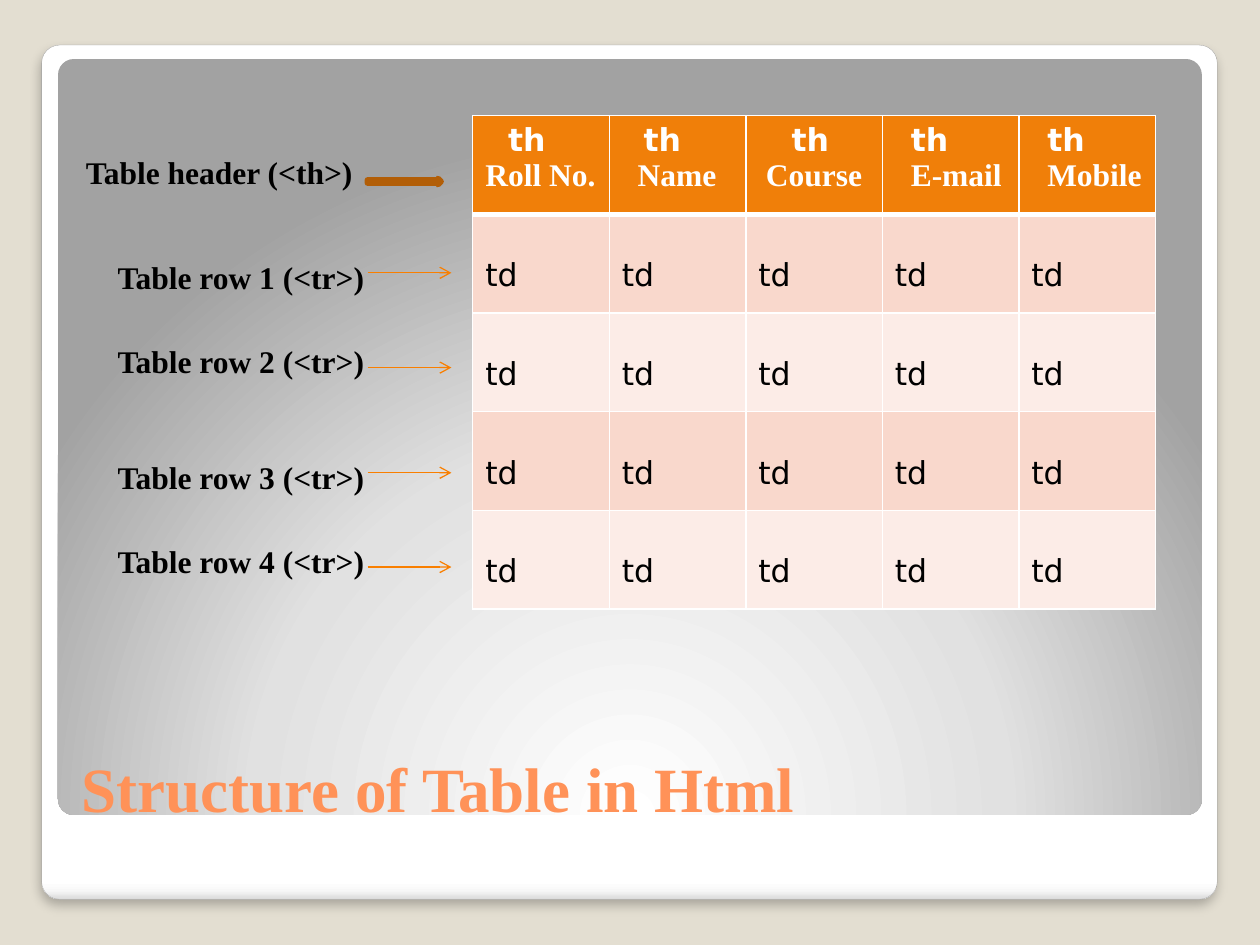
from lxml import etree
from pptx import Presentation
from pptx.dml.color import RGBColor
from pptx.enum.shapes import MSO_CONNECTOR, MSO_SHAPE
from pptx.enum.text import MSO_ANCHOR
from pptx.oxml import parse_xml
from pptx.oxml.ns import nsdecls, qn
from pptx.util import Cm, Pt

ROUNDED, ARROW = MSO_SHAPE.ROUNDED_RECTANGLE, MSO_SHAPE.RIGHT_ARROW
STRAIGHT, BOTTOM = MSO_CONNECTOR.STRAIGHT, MSO_ANCHOR.BOTTOM

BEIGE = RGBColor(0xE3, 0xDE, 0xD1)
EDGE_GREY = RGBColor(0xA4, 0xA4, 0xA4)
WHITE = RGBColor(0xFF, 0xFF, 0xFF)
BLACK = RGBColor(0, 0, 0)
TITLE_ORANGE = RGBColor(0xFF, 0x92, 0x58)
ORANGE = RGBColor(0xF0, 0x7F, 0x09)
LINE_ORANGE = RGBColor(0xF9, 0x7F, 0x00)
BROWN = RGBColor(0xB2, 0x5E, 0x07)
PINK = RGBColor(0xF9, 0xD8, 0xCC)
PALE_PINK = RGBColor(0xFC, 0xEC, 0xE7)
SERIF, SANS = "Times New Roman", "DejaVu Sans"


def style(p, font, size, color, bold):
    for r in p.runs:
        r.font.name, r.font.size, r.font.bold = font, Pt(size), bold
        r.font.color.rgb = color


def add_text(left, top, width, height, text, size, color):
    tf = s.shapes.add_textbox(Cm(left), Cm(top), Cm(width), Cm(height)).text_frame
    tf.word_wrap = True
    tf.text = text
    style(tf.paragraphs[0], SERIF, size, color, True)
    return tf


prs = Presentation()
prs.slide_width, prs.slide_height = Cm(25.4), Cm(19.05)
s = prs.slides.add_slide(prs.slide_layouts[6])
s.background.fill.solid()
s.background.fill.fore_color.rgb = BEIGE

# White frame and grey panel
frame_stops = [(0, "FFFFFF"), (98, "FFFFFF"), (99, "F7F7F7"), (100, "DADADA")]
panel_stops = [(0, "FFFFFF"), (55, "E1E1E1"), (100, "A2A2A2")]
linear = '<a:lin ang="5400000" scaled="0"/>'
radial = ('<a:path path="circle"><a:fillToRect l="50000" t="175000" '
          'r="50000" b="-75000"/></a:path>')
cards = []
for box, stops, direction in [
    ((0.84, 0.91, 23.7, 17.22), frame_stops, linear),
    ((1.17, 1.19, 23.06, 15.24), panel_stops, radial),
]:
    sp = s.shapes.add_shape(ROUNDED, *[Cm(v) for v in box])
    sp.adjustments[0] = 0.021
    sp.shadow.inherit = False
    sp.line.fill.background()
    sp.fill.background()
    gs = "".join(f'<a:gs pos="{pos * 1000}"><a:srgbClr val="{color}"/></a:gs>'
                 for pos, color in stops)
    gradient = parse_xml(f'<a:gradFill {nsdecls("a")} rotWithShape="1">'
                         f'<a:gsLst>{gs}</a:gsLst>{direction}</a:gradFill>')
    spPr = sp._element.spPr
    spPr.replace(spPr.find(qn("a:noFill")), gradient)
    cards.append(sp)

frame = cards[0]
frame.line.color.rgb = EDGE_GREY
frame.line.width = Pt(0.16)
frame._element.spPr.find(qn("a:effectLst")).append(parse_xml(
    f'<a:outerShdw {nsdecls("a")} blurRad="76200" dist="50800" dir="5400000" '
    'algn="tl" rotWithShape="0"><a:srgbClr val="000000"><a:alpha val="25000"/>'
    '</a:srgbClr></a:outerShdw>'))

title = add_text(1.4, 13.84, 22.73, 2.92, "Structure of Table in Html", 36, TITLE_ORANGE)
title.vertical_anchor = BOTTOM

# Table: heading, indent of "th" and indent of the heading
headers = [("Roll No.", 0.46, 0), ("Name", 0.44, 0.32), ("Course", 0.67, 0.15),
           ("E-mail", 0.32, 0.32), ("Mobile", 0.32, 0.32)]
ROWS = 5
table = s.shapes.add_table(ROWS, len(headers), Cm(9.53), Cm(2.33),
                           Cm(13.76), Cm(9.95)).table
for row in table.rows:
    row.height = Cm(1.99)
for i in range(ROWS):
    for j, (heading, *indents) in enumerate(headers):
        cell = table.cell(i, j)
        tcPr = cell._tc.get_or_add_tcPr()
        for side in "LRTB":
            thick = (i, side) in [(0, "B"), (1, "T")]
            tcPr.append(parse_xml(
                f'<a:ln{side} {nsdecls("a")} w="{38100 if thick else 12700}">'
                f'<a:solidFill><a:srgbClr val="{WHITE}"/></a:solidFill></a:ln{side}>'))
        cell.fill.solid()
        if i == 0:
            cell.fill.fore_color.rgb = ORANGE
            cell.text = f"th\n{heading}"
            for p, font, indent in zip(cell.text_frame.paragraphs, (SANS, SERIF), indents):
                p._p.get_or_add_pPr().set("marL", str(Cm(indent)))
                style(p, font, 18, WHITE, True)
        else:
            cell.fill.fore_color.rgb = PINK if i % 2 else PALE_PINK
            cell.margin_top = Cm(0.87)
            cell.text = "td"
            style(cell.text_frame.paragraphs[0], SANS, 18, BLACK, False)

# Labels and arrows pointing at the rows
sp = s.shapes.add_shape(ARROW, Cm(7.41), Cm(3.6), Cm(1.48), Cm(0.12))
sp.shadow.inherit = False
sp.fill.solid()
sp.fill.fore_color.rgb = ORANGE
sp.line.color.rgb = BROWN
sp.line.width = Pt(3.35)
add_text(1.48, 2.96, 6.35, 1.02, "Table header (<th>)", 18, BLACK)

row_marks = [(5.08, 5.5), (6.77, 7.41), (9.1, 9.53), (10.8, 11.43)]
for n, (label_top, y) in enumerate(row_marks, start=1):
    line = s.shapes.add_connector(STRAIGHT, Cm(7.41), Cm(y), Cm(9.1), Cm(y))
    line.line.color.rgb = LINE_ORANGE
    line.line.width = Pt(0.75)
    etree.SubElement(line.line._get_or_add_ln(), qn("a:tailEnd"), type="arrow")
    etree.SubElement(line._element.spPr, qn("a:effectLst"))
    add_text(2.12, label_top, 6.56, 1.02, f"Table row {n} (<tr>)", 18, BLACK)

prs.save("out.pptx")
